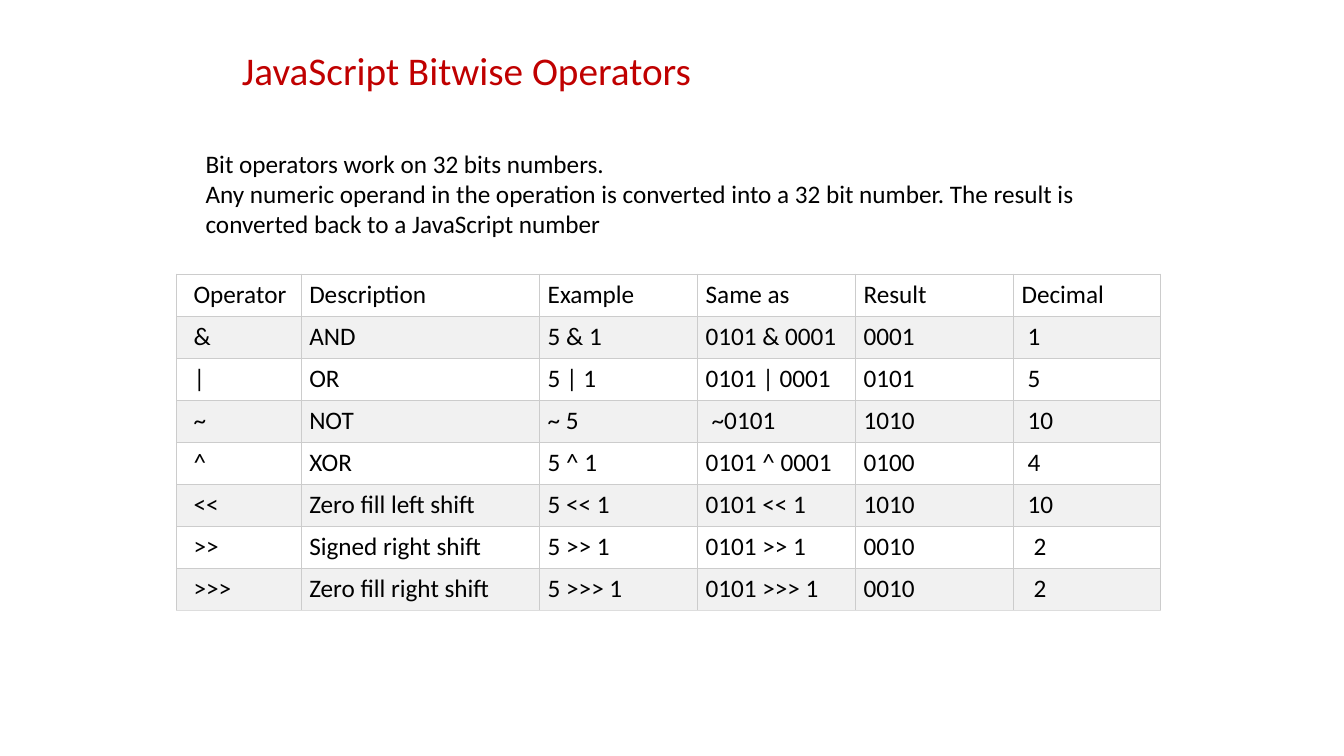
from lxml.etree import SubElement
from pptx import Presentation
from pptx.dml.color import RGBColor
from pptx.enum.text import MSO_ANCHOR, MSO_AUTO_SIZE, PP_ALIGN
from pptx.oxml.ns import qn
from pptx.util import Emu, Pt

PX = 9144  # 100 px to the inch
COLORS = {
    "title": "C00000",
    "text": "000000",
    "plain": "FFFFFF",
    "band": "F1F1F1",
    "rule": "CCCCCC",
    "last_rule": "DDDDDD",
}
FONT = "Calibri"

TITLE = "JavaScript Bitwise Operators"
INTRO = [
    "Bit operators work on 32 bits numbers.",
    "Any numeric operand in the operation is converted into a 32 bit number. "
    "The result is converted back to a JavaScript number",
]
# Each leading space in a cell stands for one step of indent
OPERATORS = [
    ["Operator", "Description", "Example", "Same as", "Result", "Decimal"],
    ["&", "AND", "5 & 1", "0101 & 0001", "0001", " 1"],
    ["|", "OR", "5 | 1", "0101 | 0001", "0101", " 5"],
    ["~", "NOT", "~ 5", " ~0101", "1010", " 10"],
    ["^", "XOR", "5 ^ 1", "0101 ^ 0001", "0100", " 4"],
    ["<<", "Zero fill left shift", "5 << 1", "0101 << 1", "1010", " 10"],
    [">>", "Signed right shift", "5 >> 1", "0101 >> 1", "0010", "  2"],
    [">>>", "Zero fill right shift", "5 >>> 1", "0101 >>> 1", "0010", "  2"],
]
COLUMN_SHARES = [124, 237, 157, 157, 157, 146]
INDENT_STEP = 6


def px(length):
    return Emu(round(length * PX))


def color(name):
    return RGBColor.from_string(COLORS[name])


def write_text(frame, paragraphs, size=18, fill="text", spacing=None):
    """Fill a text frame with one paragraph per string."""
    for index, text in enumerate(paragraphs):
        para = frame.paragraphs[0] if index == 0 else frame.add_paragraph()
        para.alignment = PP_ALIGN.LEFT
        if spacing:
            para.line_spacing = spacing
        span = para.add_run()
        span.text = text
        span.font.name = FONT
        span.font.size = Pt(size)
        span.font.color.rgb = color(fill)


def set_insets(frame):
    frame.word_wrap = True
    frame.margin_left = frame.margin_right = px(10)
    frame.margin_top = frame.margin_bottom = px(5)


def add_title(page, left, top, width, height):
    title = page.shapes.title
    title.left, title.top = px(left), px(top)
    title.width, title.height = px(width), px(height)
    frame = title.text_frame
    set_insets(frame)
    frame.auto_size = MSO_AUTO_SIZE.NONE
    frame.vertical_anchor = MSO_ANCHOR.MIDDLE
    write_text(frame, [TITLE], size=28, fill="title", spacing=0.9)


def add_intro(page, left, top, width, height):
    box = page.shapes.add_textbox(px(left), px(top), px(width), px(height))
    set_insets(box.text_frame)
    box.text_frame.auto_size = MSO_AUTO_SIZE.SHAPE_TO_FIT_TEXT
    write_text(box.text_frame, INTRO)


def set_borders(cell, bottom):
    properties = cell._tc.get_or_add_tcPr()
    for side in ("lnL", "lnR", "lnT", "lnB"):
        line = SubElement(properties, qn(f"a:{side}"), w=str(Pt(0.75)))
        solid = SubElement(line, qn("a:solidFill"))
        name = bottom if side == "lnB" else "rule"
        SubElement(solid, qn("a:srgbClr"), val=COLORS[name])


def add_operator_table(page, left, top, width, height):
    row_count, column_count = len(OPERATORS), len(COLUMN_SHARES)
    table = page.shapes.add_table(
        row_count, column_count, px(left), px(top), px(width), px(height)
    ).table
    table.first_row = table.horz_banding = False
    for column, share in zip(table.columns, COLUMN_SHARES):
        column.width = px(width * share / sum(COLUMN_SHARES))

    for row_index, values in enumerate(OPERATORS):
        table.rows[row_index].height = px(height / row_count)
        is_last = row_index == row_count - 1
        for column_index, value in enumerate(values):
            cell = table.cell(row_index, column_index)
            text = value.lstrip()
            indent = INDENT_STEP * (len(value) - len(text))
            cell.margin_left = px((17 if column_index == 0 else 8) + indent)
            cell.margin_right = px(8)
            cell.margin_top = cell.margin_bottom = px(5)
            set_borders(cell, bottom="last_rule" if is_last else "rule")
            cell.fill.solid()
            cell.fill.fore_color.rgb = color("band" if row_index % 2 else "plain")
            write_text(cell.text_frame, [text])


def main():
    deck = Presentation()
    deck.slide_width, deck.slide_height = px(1333), px(750)
    page = deck.slides.add_slide(deck.slide_layouts[5])
    add_title(page, 230, 32, 1150, 80)
    add_operator_table(page, 175, 272, 976, 334)
    add_intro(page, 194, 142, 919, 100)
    deck.save("out.pptx")


if __name__ == "__main__":
    main()
